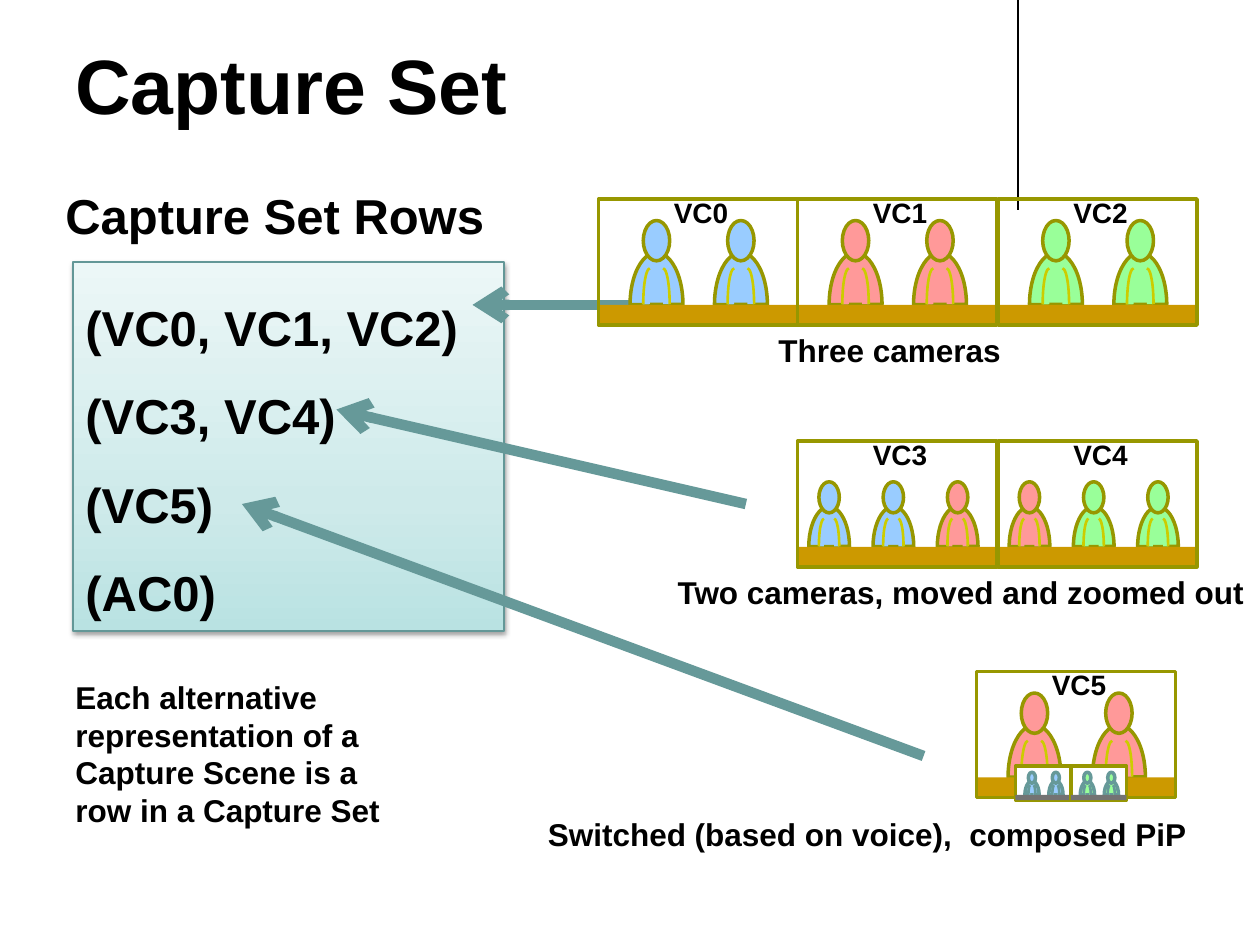
"""Build the Capture Set slide: set rows linked to three camera scenes."""
from pptx import Presentation
from pptx.dml.color import RGBColor
from pptx.enum.shapes import MSO_CONNECTOR, MSO_SHAPE
from pptx.enum.text import MSO_ANCHOR
from pptx.oxml import parse_xml
from pptx.oxml.ns import nsdecls, qn
from pptx.util import Inches, Pt

HUES = {
    "black": "000000", "white": "FFFFFF", "blue": "99CCFF", "red": "FF9999",
    "green": "99FF99", "olive": "979700", "gold": "CCCC00", "desk": "CC9900",
    "gray": "737373", "teal": "669999", "edge": "639797",
    "deep": "B9E2E2", "mid": "CEEAEA", "pale": "ECF7F7",
}


def color(name):
    return RGBColor.from_string(HUES[name])


def write(frame, lines, size, space=None):
    frame.word_wrap = True
    frame.text = "\n".join(lines)
    for para in frame.paragraphs:
        font = para.font
        font.name, font.size, font.bold = "Arial", Pt(size), True
        font.color.rgb = color("black")
        para.line_spacing = space


def label(shapes, text, x, y, w, h, size, anchor=MSO_ANCHOR.TOP):
    frame = shapes.add_textbox(Inches(x), Inches(y), Inches(w), Inches(h)).text_frame
    write(frame, [text], size)
    frame.vertical_anchor = anchor


def draw(shapes, kind, x, y, w, h, fill=None, line=None, width=2, angles=()):
    shape = shapes.add_shape(kind, Inches(x), Inches(y), Inches(w), Inches(h))
    shape.shadow.inherit = False
    if fill:
        shape.fill.solid()
        shape.fill.fore_color.rgb = color(fill)
    else:
        shape.fill.background()
    if line:
        shape.line.color.rgb = color(line)
        shape.line.width = Pt(width)
    else:
        shape.line.fill.background()
    for i, angle in enumerate(angles):
        shape.adjustments[i] = angle
    return shape


def person(shapes, mid, base, scale, fill, line, trim):
    long, wide = 0.83 * scale, 0.42 * scale
    body = draw(shapes, MSO_SHAPE.CHORD, mid - long / 2, base - wide / 2, long, wide,
                fill, line, angles=(54.33, 161.43))
    body.rotation = 90
    head = 0.21 * scale
    draw(shapes, MSO_SHAPE.OVAL, mid - head / 2, base - 0.67 * scale,
         head, 0.32 * scale, fill, line)
    arm = head / 2
    for x, flip in ((mid - arm, True), (mid, False)):
        arc = draw(shapes, MSO_SHAPE.ARC, x, base - 0.29 * scale, arm, 0.57 * scale,
                   fill, trim, 1.5, (162, 0.53 if flip else 0))
        if flip:
            arc._element.spPr.find(qn("a:xfrm")).set("flipH", "1")


def camera(shapes, name, x, y, fills):
    scale, start, step = (1, 0.46, 0.67) if len(fills) == 2 else (0.77, 0.25, 0.51)
    for i, fill in enumerate(fills):
        person(shapes, x + start + i * step, y + 0.84, scale, fill, "olive", "gold")
    draw(shapes, MSO_SHAPE.RECTANGLE, x, y + 0.84, 1.58, 0.17, "desk")
    draw(shapes, MSO_SHAPE.RECTANGLE, x, y, 1.58, 1, line="olive")
    label(shapes, name, x + 0.5, y - 0.08, 0.83, 0.37, 16)


def inset(shapes, x, y, fill):
    draw(shapes, MSO_SHAPE.RECTANGLE, x, y, 0.44, 0.27, "white", "olive")
    for gap in (0.13, 0.32):
        person(shapes, x + gap, y + 0.23, 0.27, fill, "teal", "teal")
    draw(shapes, MSO_SHAPE.RECTANGLE, x, y + 0.23, 0.44, 0.04, "gray")


def link(shapes, start, end, hue, width, arrow=True):
    points = [Inches(n) for n in (*start, *end)]
    line = shapes.add_connector(MSO_CONNECTOR.STRAIGHT, *points)
    line.line.color.rgb = color(hue)
    line.line.width = Pt(width)
    if arrow:
        line.line._get_or_add_ln().append(
            parse_xml(f'<a:tailEnd {nsdecls("a")} type="arrow"/>'))
    line._element.spPr.append(parse_xml(f'<a:effectLst {nsdecls("a")}/>'))


def panel(shapes, rows):
    box = draw(shapes, MSO_SHAPE.RECTANGLE, 0.58, 2.08, 3.42, 2.93, "mid", "edge", 0.75)
    props = box._element.spPr
    stops = "".join(f'<a:gs pos="{pos * 1000}"><a:srgbClr val="{HUES[hue]}"/></a:gs>'
                    for pos, hue in ((0, "deep"), (35, "mid"), (100, "pale")))
    props.replace(props.find(qn("a:solidFill")), parse_xml(
        f'<a:gradFill {nsdecls("a")} rotWithShape="1"><a:gsLst>{stops}</a:gsLst>'
        '<a:lin ang="16200000" scaled="0"/></a:gradFill>'))
    props.replace(props.find(qn("a:effectLst")), parse_xml(
        f'<a:effectLst {nsdecls("a")}><a:outerShdw blurRad="{Pt(3.1)}" dist="{Pt(1.6)}" '
        f'dir="5400000" rotWithShape="0"><a:srgbClr val="{HUES["black"]}">'
        '<a:alpha val="38000"/></a:srgbClr></a:outerShdw></a:effectLst>'))
    write(box.text_frame, rows, 28, 1.5)
    box.text_frame.vertical_anchor = MSO_ANCHOR.TOP
    for para in box.text_frame.paragraphs:
        para.alignment = 1


def main():
    deck = Presentation()
    deck.slide_width, deck.slide_height = Inches(10), Inches(7.5)
    shapes = deck.slides.add_slide(deck.slide_layouts[6]).shapes

    link(shapes, (8.08, 0), (8.08, 1.67), "black", 0.75, False)
    label(shapes, "Capture Set", 0.5, 0.13, 7.5, 0.95, 44, MSO_ANCHOR.BOTTOM)
    label(shapes, "Each alternative representation of a Capture Scene is a row in a Capture Set",
          0.5, 5.33, 2.78, 1.31, 18)
    for text, x, y, w in (
        ("Three cameras", 6.08, 2.58, 1.98),
        ("Two cameras, moved and zoomed out", 5.28, 4.5, 4.79),
        ("Switched (based on voice),  composed PiP", 4.25, 6.42, 5.5),
    ):
        label(shapes, text, x, y, w, 0.4, 18)

    panel(shapes, ["(VC0, VC1, VC2)", "(VC3, VC4)", "(VC5)", "(AC0)"])
    label(shapes, "Capture Set Rows", 0.42, 1.42, 3.75, 0.57, 28)
    for start, end in (((5, 2.42), (3.75, 2.42)), ((5.92, 4), (2.67, 3.25)),
                       ((7.33, 6), (1.92, 4))):
        link(shapes, start, end, "teal", 6)

    scenes = (
        (1.58, (("VC0", 4.75, ["blue"] * 2), ("VC1", 6.33, ["red"] * 2),
                ("VC2", 7.92, ["green"] * 2))),
        (3.5, (("VC3", 6.33, ["blue", "blue", "red"]),
               ("VC4", 7.92, ["red", "green", "green"]))),
        (5.33, (("VC5", 7.75, ["red"] * 2),)),
    )
    for y, views in scenes:
        group = shapes.add_group_shape().shapes
        for name, x, fills in views:
            camera(group, name, x, y, fills)
    for x, fill in ((8.06, "blue"), (8.5, "green")):
        inset(group, x, 6.08, fill)

    deck.save("out.pptx")


if __name__ == "__main__":
    main()
